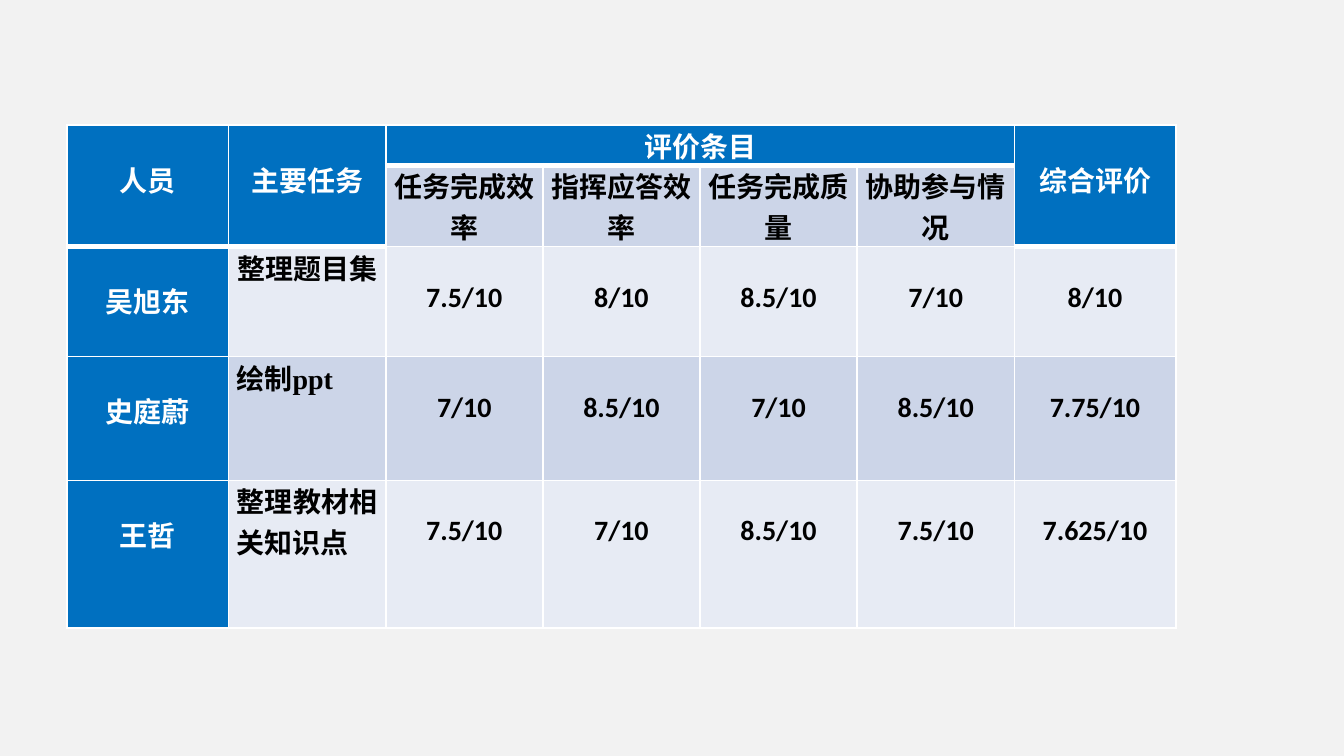
"""Build a slide with a table that rates three people on four points."""
import dataclasses
import lxml.etree
import pptx
import pptx.dml.color
import pptx.enum.text
import pptx.oxml.ns
import pptx.util

Cm = pptx.util.Cm
Pt = pptx.util.Pt
ALIGN = pptx.enum.text.PP_ALIGN


@dataclasses.dataclass(frozen=True)
class Theme:
    back: str = "F2F2F2"
    head: str = "0070C0"
    dark: str = "CCD5E8"
    light: str = "E7EBF4"
    white: str = "FFFFFF"
    black: str = "000000"
    sans: str = "Calibri"
    serif: str = "Times New Roman"
    size: int = 15
    thin: int = 1
    thick: int = 3
    side: float = 0.15
    drop: float = 0.64


THEME = Theme()
WIDTHS = [3.05] + [2.97] * 5 + [3.05]
HEIGHTS = [0.69, 1.4, 2.08, 2.34, 2.79]
SPANS = [(0, 0, 1, 0), (0, 1, 1, 1), (0, 2, 0, 5), (0, 6, 1, 6)]
TITLES = {0: "人员", 1: "主要任务", 2: "评价条目", 6: "综合评价"}
POINTS = ["任务完成效率", "指挥应答效率", "任务完成质量", "协助参与情况"]
PEOPLE = [
    ("吴旭东", "整理题目集", "7.5/10", "8/10", "8.5/10", "7/10", "8/10"),
    ("史庭蔚", "绘制ppt", "7/10", "8.5/10", "7/10", "8.5/10", "7.75/10"),
    ("王哲", "整理教材相关知识点", "7.5/10", "7/10", "8.5/10", "7.5/10", "7.625/10"),
]


def color(code):
    return pptx.dml.color.RGBColor.from_string(code)


def edge(cell, base):
    props = cell._tc.get_or_add_tcPr()
    tag = pptx.oxml.ns.qn
    for side in "LRTB":
        width = base if side == "B" else THEME.thin
        line = lxml.etree.SubElement(props, tag(f"a:ln{side}"), w=str(Pt(width)))
        fill = lxml.etree.SubElement(line, tag("a:solidFill"))
        lxml.etree.SubElement(fill, tag("a:srgbClr"), val=THEME.white)


def paint(cell, fill, base=THEME.thin):
    edge(cell, base)
    cell.fill.solid()
    cell.fill.fore_color.rgb = color(fill)
    cell.margin_left = cell.margin_right = Cm(THEME.side)
    cell.margin_top = cell.margin_bottom = 0


def write(cell, text, ink=THEME.black, face=THEME.sans, align=ALIGN.CENTER, drop=0):
    cell.margin_top = Cm(drop)
    para = cell.text_frame.paragraphs[0]
    para.text = text
    para.alignment = align
    for run in para.runs:
        run.font.name = face
        run.font.size = Pt(THEME.size)
        run.font.bold = True
        run.font.color.rgb = color(ink)


def add_grid(slide):
    frame = slide.shapes.add_table(
        len(HEIGHTS), len(WIDTHS), Cm(1.27), Cm(2.36), Cm(sum(WIDTHS)), Cm(sum(HEIGHTS)))
    grid = frame.table
    grid.first_row = grid.horz_banding = False
    for col, width in zip(grid.columns, WIDTHS):
        col.width = Cm(width)
    for row, height in zip(grid.rows, HEIGHTS):
        row.height = Cm(height)
    for top, left, low, right in SPANS:
        grid.cell(top, left).merge(grid.cell(low, right))
    return grid


def fill_head(grid):
    for col in range(len(WIDTHS)):
        paint(grid.cell(0, col), THEME.head, THEME.thick)
        paint(grid.cell(1, col), THEME.dark if 2 <= col <= 5 else THEME.head)
    for col, text in TITLES.items():
        write(grid.cell(0, col), text, THEME.white, drop=0 if col == 2 else THEME.drop)
    for col, text in enumerate(POINTS, 2):
        write(grid.cell(1, col), text)


def fill_body(grid):
    for row, (name, task, *marks) in enumerate(PEOPLE, 2):
        band = THEME.dark if row % 2 else THEME.light
        for col in range(len(WIDTHS)):
            paint(grid.cell(row, col), band if col else THEME.head)
        write(grid.cell(row, 0), name, THEME.white, drop=THEME.drop)
        align = ALIGN.CENTER if row == 2 else ALIGN.JUSTIFY
        write(grid.cell(row, 1), task, face=THEME.serif, align=align)
        for col, mark in enumerate(marks, 2):
            write(grid.cell(row, col), mark, drop=THEME.drop)


def main():
    deck = pptx.Presentation()
    deck.slide_width, deck.slide_height = Cm(25.4), Cm(14.29)
    slide = deck.slides.add_slide(deck.slide_layouts[6])
    slide.background.fill.solid()
    slide.background.fill.fore_color.rgb = color(THEME.back)
    grid = add_grid(slide)
    fill_head(grid)
    fill_body(grid)
    deck.save("out.pptx")


main()
